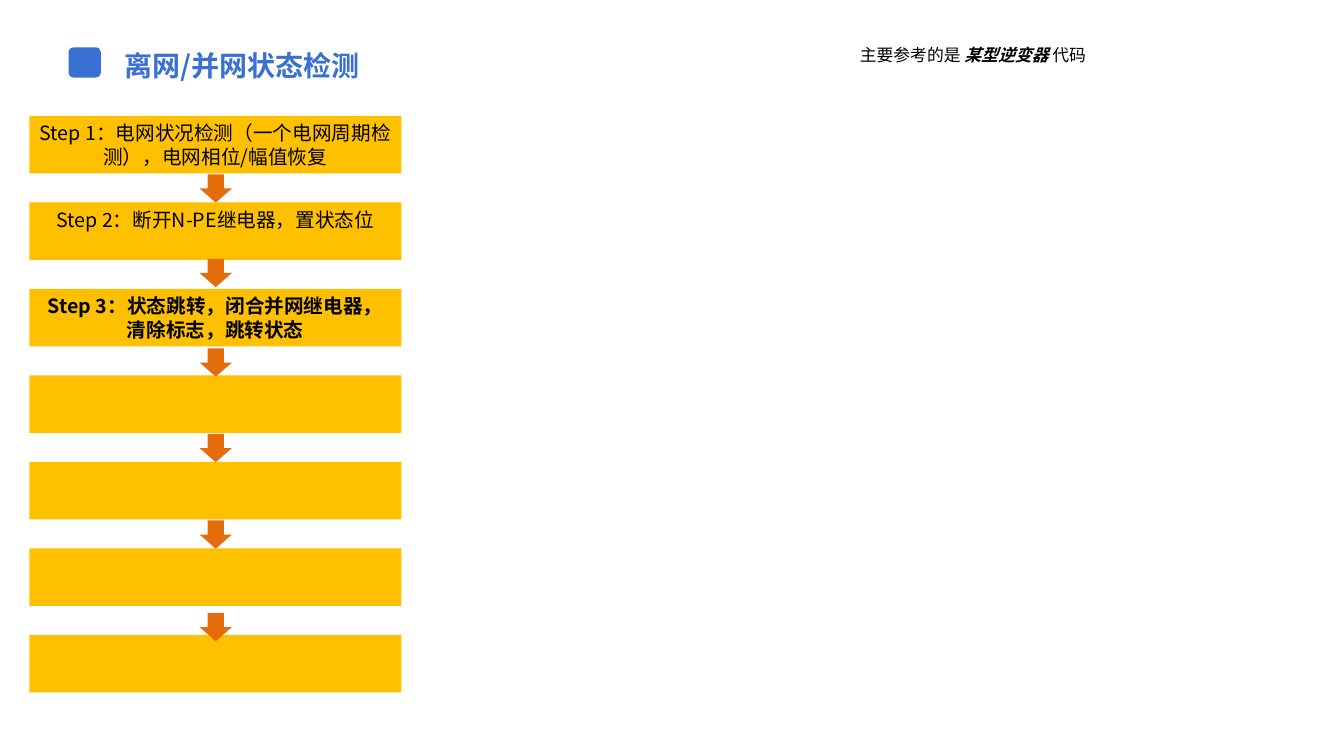
import pptx
import pptx.dml.color
import pptx.enum.shapes
import pptx.enum.text
import pptx.oxml.ns
import pptx.util
from lxml import etree

COLORS = {
    "title": "3A70D3",
    "mark": "3A70D2",
    "text": "000000",
    "step": "FFC000",
    "arrow": "E46C0A",
}
FONT = "Noto Sans CJK SC"

TITLE = [("离网/并网状态检测", {"bold": True})]
NOTE = [
    ("主要参考的是 ", {}),
    ("某型逆变器 ", {"bold": True, "italic": True}),
    ("代码", {}),
]
STEPS = [
    [("Step 1：电网状况检测（一个电网周期检测），电网相位/幅值恢复", {})],
    [("Step 2：断开N-PE继电器，置状态位", {})],
    [("Step 3：状态跳转，闭合并网继电器，清除标志，跳转状态", {"bold": True})],
    [],
    [],
    [],
    [],
]

# Inches
TITLE_BOX = (1.13, 0.4, 6.91, 0.35)
NOTE_BOX = (8.43, 0.39, 2.85, 0.31)
MARK_BOX = (0.68, 0.47, 0.32, 0.3)
STEP_LEFT, STEP_WIDTH, STEP_HEIGHT = 0.29, 3.69, 0.57
FIRST_TOP, LAST_TOP = 1.15, 6.3
STEP_PITCH = (LAST_TOP - FIRST_TOP) / (len(STEPS) - 1)
ARROW_LEFT, ARROW_WIDTH, ARROW_HEIGHT = 1.98, 0.32, 0.28
ARROW_GAPS = [0.01, -0.01, 0.02, 0.01, 0.01, 0.07]

SHAPES = pptx.enum.shapes.MSO_SHAPE
ALIGN = pptx.enum.text.PP_ALIGN


def rgb(name):
    return pptx.dml.color.RGBColor.from_string(COLORS[name])


def inches(box):
    return [pptx.util.Inches(value) for value in box]


def write(shape, runs, size, line_height, color="text", align=ALIGN.LEFT):
    """Fill a shape with one top-anchored paragraph of formatted runs."""
    frame = shape.text_frame
    frame_format = {
        "word_wrap": True,
        "auto_size": pptx.enum.text.MSO_AUTO_SIZE.NONE,
        "vertical_anchor": pptx.enum.text.MSO_ANCHOR.TOP,
    }
    for name, value in frame_format.items():
        setattr(frame, name, value)
    paragraph = frame.paragraphs[0]
    paragraph.alignment = align
    paragraph.line_spacing = pptx.util.Pt(line_height)
    paragraph.space_before = pptx.util.Pt(0)
    for text, emphasis in runs:
        run = paragraph.add_run()
        run.text = text
        run_format = {
            "name": FONT,
            "size": pptx.util.Pt(size),
            "bold": False,
            "italic": False,
            **emphasis,
        }
        for name, value in run_format.items():
            setattr(run.font, name, value)
        run.font.color.rgb = rgb(color)
        east_asian = etree.SubElement(
            run.font._element, pptx.oxml.ns.qn("a:ea")
        )
        east_asian.set("typeface", FONT)


def add_block(slide, kind, box, color):
    shape = slide.shapes.add_shape(kind, *inches(box))
    shape.shadow.inherit = False
    shape.fill.solid()
    shape.fill.fore_color.rgb = rgb(color)
    shape.line.fill.background()
    return shape


def add_header(slide):
    add_block(slide, SHAPES.ROUNDED_RECTANGLE, MARK_BOX, "mark")
    title = slide.shapes.title
    title.left, title.top, title.width, title.height = inches(TITLE_BOX)
    write(title, TITLE, 20, 26, "title")
    note = slide.shapes.add_textbox(*inches(NOTE_BOX))
    write(note, NOTE, 12, 14.5)


def add_flow(slide):
    tops = [FIRST_TOP + row * STEP_PITCH for row in range(len(STEPS))]
    for top, runs in zip(tops, STEPS):
        box = (STEP_LEFT, top, STEP_WIDTH, STEP_HEIGHT)
        step = add_block(slide, SHAPES.RECTANGLE, box, "step")
        if runs:
            write(step, runs, 14, 17, align=ALIGN.CENTER)
    for top, gap in zip(tops, ARROW_GAPS):
        box = (ARROW_LEFT, top + STEP_HEIGHT + gap, ARROW_WIDTH, ARROW_HEIGHT)
        add_block(slide, SHAPES.DOWN_ARROW, box, "arrow")


def main():
    presentation = pptx.Presentation()
    presentation.slide_width = pptx.util.Inches(13.33)
    presentation.slide_height = pptx.util.Inches(7.5)
    title_only = presentation.slide_layouts.get_by_name("Title Only")
    slide = presentation.slides.add_slide(title_only)
    add_header(slide)
    add_flow(slide)
    presentation.save("out.pptx")


if __name__ == "__main__":
    main()
